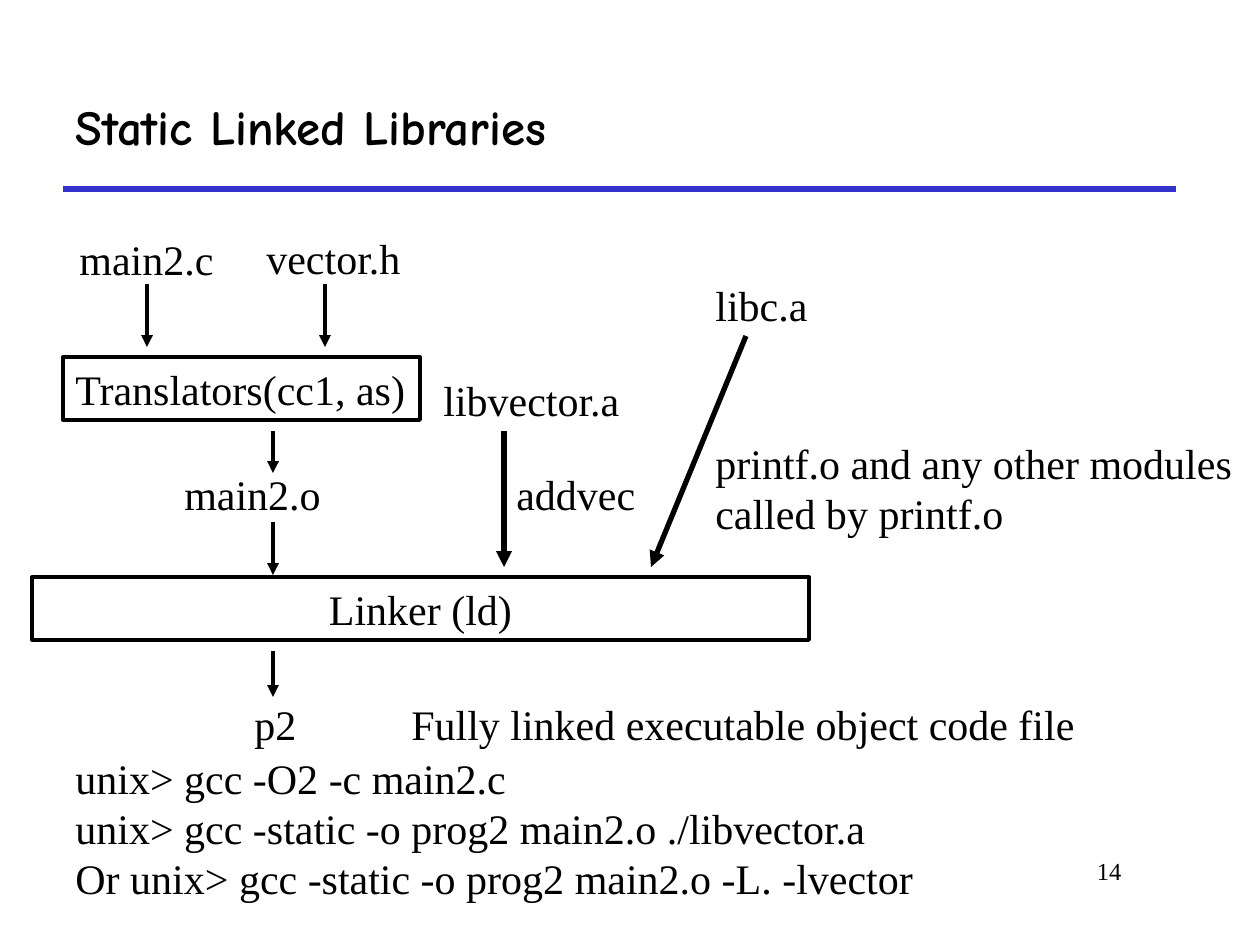
from lxml import etree
from pptx import Presentation
from pptx.dml.color import RGBColor
from pptx.enum.shapes import MSO_CONNECTOR as CONN, MSO_SHAPE as SHAPE
from pptx.enum.text import MSO_ANCHOR as ANCHOR, MSO_AUTO_SIZE as FIT, PP_ALIGN as ALIGN
from pptx.oxml.ns import qn
from pptx.util import Emu, Pt

SCALE = 914400 / 126  # EMU per px
COLORS = {"ink": "000000", "rule": "3333CC"}
BODY, HEADING = "Times New Roman", "Comic Neue"

# Content: boxes are (left, top, width, height) in px
TITLE = ("Static Linked Libraries", (63, 63, 1113, 126))
PAGE = ("14", (955, 850, 179, 63))
RULE = (63, 189, 1176, 189)

STEPS = [
    ("Translators(cc1, as)", (63, 357, 357, 63), ALIGN.LEFT),
    ("Linker (ld)", (32, 577, 777, 63), ALIGN.CENTER),
]
FILES = [
    ("main2.c", (67, 227, 160, 63)),
    ("vector.h", (254, 226, 162, 63)),
    ("main2.o", (172, 462, 164, 63)),
    ("p2", (242, 692, 68, 63)),
]
NOTES = [
    (["libvector.a"], (431, 368, 210, 63)),
    (["Fully linked executable object code file"], (399, 692, 756, 63)),
    (["libc.a"], (703, 273, 189, 63)),
    (["addvec"], (504, 462, 199, 63)),
    (["printf.o and any other modules called by printf.o"], (703, 431, 557, 113)),
    (["unix> gcc -O2 -c main2.c",
      "unix> gcc -static -o prog2 main2.o ./libvector.a",
      "Or unix> gcc -static -o prog2 main2.o -L. -lvector"], (63, 746, 1113, 164)),
]
# Arrows: (x1, y1, x2, y2), line width in points
FLOW = [
    ((147, 284, 147, 347), 2.25),
    ((325, 284, 325, 347), 2.25),
    ((273, 431, 273, 473), 2.25),
    ((273, 522, 273, 575), 2.25),
    ((273, 651, 273, 697), 2.25),
    ((504, 431, 504, 567), 3),
    ((746, 336, 651, 567), 3),
]


def px(values):
    return [Emu(round(v * SCALE)) for v in values]


def color(name):
    return RGBColor.from_string(COLORS[name])


def write(sp, lines, size=24, font=BODY, bold=False, align=ALIGN.LEFT,
          anchor=ANCHOR.TOP, wrap=True):
    tf = sp.text_frame
    tf.word_wrap = wrap
    tf.auto_size = FIT.NONE if wrap else FIT.SHAPE_TO_FIT_TEXT
    tf.vertical_anchor = anchor
    for i, line in enumerate(lines):
        p = tf.paragraphs[0] if i == 0 else tf.add_paragraph()
        p.alignment = align
        r = p.add_run()
        r.text = line
        r.font.size, r.font.name, r.font.bold = Pt(size), font, bold
        r.font.color.rgb = color("ink")


def add_text(slide, lines, box, **style):
    write(slide.shapes.add_textbox(*px(box)), lines, **style)


def add_line(slide, ends, width, ink="ink", arrow=False):
    line = slide.shapes.add_connector(CONN.STRAIGHT, *px(ends))
    line.line.color.rgb = color(ink)
    line.line.width = Pt(width)
    if arrow:
        etree.SubElement(line.line._get_or_add_ln(), qn("a:tailEnd"), type="triangle")
    etree.SubElement(line._element.spPr, qn("a:effectLst"))


def add_step(slide, label, box, align):
    sp = slide.shapes.add_shape(SHAPE.RECTANGLE, *px(box))
    sp.shadow.inherit = False
    sp.fill.background()
    sp.line.color.rgb = color("ink")
    sp.line.width = Pt(2.25)
    write(sp, [label], align=align)


def main():
    prs = Presentation()
    prs.slide_width, prs.slide_height = px((1260, 945))
    slide = prs.slides.add_slide(prs.slide_layouts[6])

    # Heading and page number
    add_line(slide, RULE, 3, "rule")
    add_text(slide, [PAGE[0]], PAGE[1], size=14, align=ALIGN.RIGHT)
    add_text(slide, [TITLE[0]], TITLE[1], size=28, font=HEADING, bold=True,
             anchor=ANCHOR.MIDDLE)

    # Build steps, files and notes
    for label, box, align in STEPS:
        add_step(slide, label, box, align)
    for name, box in FILES:
        add_text(slide, [name], box, wrap=False)
    for lines, box in NOTES:
        add_text(slide, lines, box)

    # Flow arrows
    for ends, width in FLOW:
        add_line(slide, ends, width, arrow=True)

    prs.save("out.pptx")


if __name__ == "__main__":
    main()
